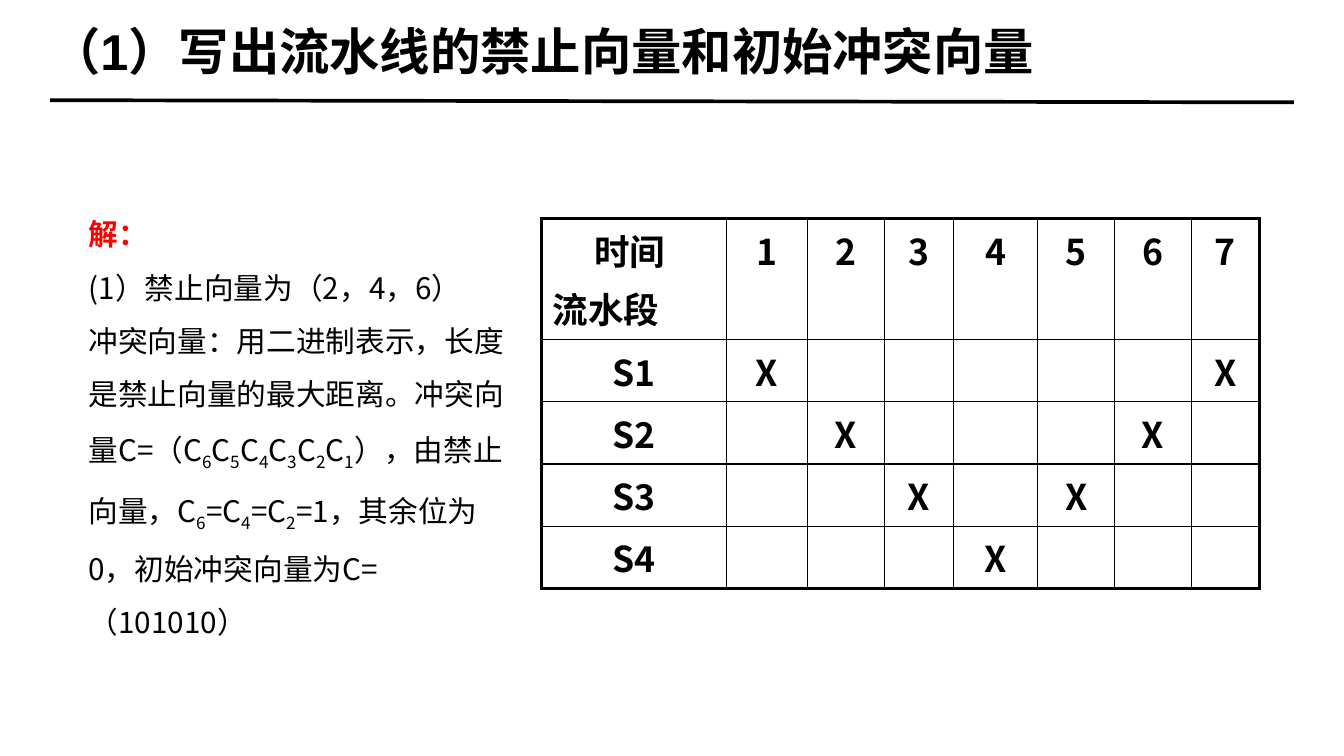
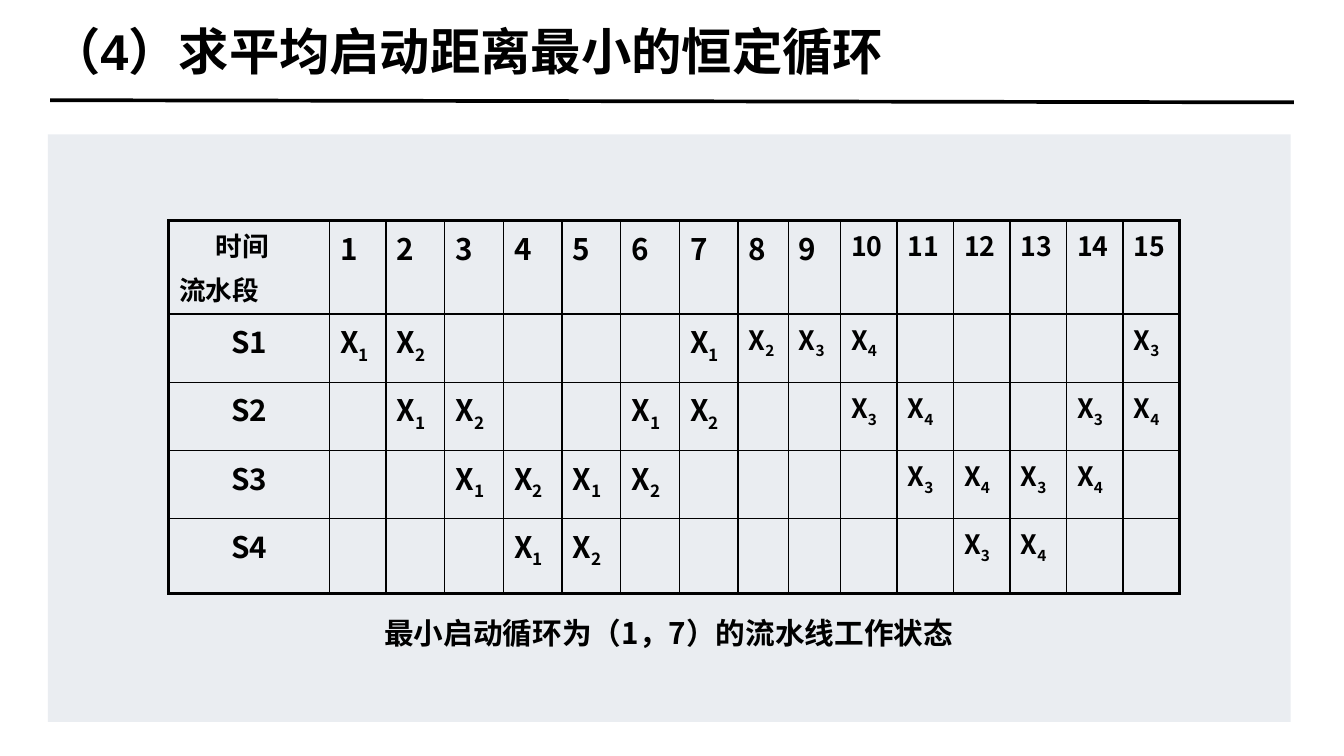
from pptx import Presentation
from pptx.dml.color import RGBColor
from pptx.enum.shapes import MSO_CONNECTOR, MSO_SHAPE
from pptx.enum.text import MSO_ANCHOR, MSO_AUTO_SIZE, PP_ALIGN
from pptx.oxml.ns import qn
from pptx.util import Pt
from lxml.etree import SubElement

PX = 9144  # EMU per px, 100 px to the inch
BLACK = RGBColor(0x00, 0x00, 0x00)
RED = RGBColor(0xFF, 0x00, 0x00)
PANEL_GREY = RGBColor(0xD6, 0xDC, 0xE5)
CJK_FONT = "Noto Sans CJK SC"
TITLE_FONT = "Arial"
OUTER_BORDER, INNER_BORDER = 2.25, 1
STAGES = ["S1", "S2", "S3", "S4"]


def px(*lengths):
    return [length * PX for length in lengths]


# Text
def format_run(run, size, bold, color=BLACK, font=CJK_FONT):
    run.font.size = Pt(size)
    run.font.bold = bold
    run.font.name = font
    run.font.color.rgb = color
    latin = run.font._element.find(qn("a:latin"))
    east_asian = latin.makeelement(qn("a:ea"), {"typeface": CJK_FONT})
    latin.addnext(east_asian)


def write(paragraph, text, size, bold, color=BLACK):
    """Fill a paragraph; the character after each "_" becomes a subscript."""
    plain, *marked = text.split("_")
    pieces = [(plain, False)]
    for part in marked:
        pieces += [(part[0], True), (part[1:], False)]
    for piece, is_subscript in pieces:
        if piece:
            run = paragraph.add_run()
            run.text = piece
            format_run(run, size, bold, color)
            if is_subscript:
                run.font._element.set("baseline", "-25000")


def add_title(slide, text):
    title = slide.shapes.title
    title.left, title.top, title.width, title.height = px(47, 16, 1165, 63)
    frame = title.text_frame
    frame.text = text
    frame.auto_size = MSO_AUTO_SIZE.NONE
    frame.vertical_anchor = MSO_ANCHOR.MIDDLE
    frame.margin_left = frame.margin_right = 0
    frame.margin_top = frame.margin_bottom = 0
    paragraph = frame.paragraphs[0]
    paragraph.alignment = PP_ALIGN.LEFT
    format_run(paragraph.runs[0], 34, True, font=TITLE_FONT)


def add_solution(slide, heading, lines):
    solution = slide.placeholders[1]
    solution.left, solution.top, solution.width, solution.height = px(73, 181, 416, 271)
    frame = solution.text_frame
    frame.auto_size = MSO_AUTO_SIZE.NONE
    for index, text in enumerate([heading, *lines]):
        paragraph = frame.add_paragraph() if index else frame.paragraphs[0]
        properties = paragraph._p.get_or_add_pPr()
        properties.set("marL", "0")
        properties.set("indent", "0")
        SubElement(properties, qn("a:buNone"))
        paragraph.space_before = Pt(0)
        paragraph.line_spacing = 1.5
        is_heading = index == 0
        write(paragraph, text, 20, is_heading, RED if is_heading else BLACK)


def add_caption(slide, text):
    caption = slide.shapes.add_textbox(*px(264, 577, 726, 44))
    frame = caption.text_frame
    frame.word_wrap = True
    frame.margin_top = 0
    paragraph = frame.paragraphs[0]
    paragraph.alignment = PP_ALIGN.CENTER
    write(paragraph, text, 20, True)


# Shared rule and panel
def add_master_rule(presentation, slide):
    rule = slide.shapes.add_connector(MSO_CONNECTOR.STRAIGHT, *px(47, 94, 1213, 96))
    rule.line.color.rgb = BLACK
    rule.line.width = Pt(2.5)
    SubElement(rule.element.spPr, qn("a:effectLst"))
    rule.element.nvCxnSpPr.cNvPr.id = 20
    presentation.slide_master.shapes.element.append(rule.element)


def add_panel(slide):
    panel = slide.shapes.add_shape(MSO_SHAPE.RECTANGLE, *px(45, 126, 1165, 551))
    panel.shadow.inherit = False
    panel.line.fill.background()
    panel.fill.solid()
    panel.fill.fore_color.rgb = PANEL_GREY
    color = panel.element.spPr.find(qn("a:solidFill"))[0]
    SubElement(color, qn("a:alpha"), val="50000")


# Reservation tables
def set_borders(cell, widths):
    properties = cell._tc.get_or_add_tcPr()
    for side, width in zip("LRTB", widths):
        border = SubElement(properties, qn(f"a:ln{side}"), w=str(Pt(width)))
        fill = SubElement(border, qn("a:solidFill"))
        SubElement(fill, qn("a:srgbClr"), val=str(BLACK))


def add_grid(slide, left, top, widths, heights):
    frame = slide.shapes.add_table(len(heights), len(widths),
                                   *px(left, top, sum(widths), sum(heights)))
    table = frame.table
    table.first_row = table.horz_banding = False
    for column, width in zip(table.columns, widths):
        column.width = width * PX
    for row, height in zip(table.rows, heights):
        row.height = height * PX
    last_row, last_column = len(heights) - 1, len(widths) - 1
    for r in range(len(heights)):
        for c in range(len(widths)):
            cell = table.cell(r, c)
            at_edges = (c == 0, c == last_column, r == 0, r == last_row)
            set_borders(cell, [OUTER_BORDER if edge else INNER_BORDER for edge in at_edges])
            cell.fill.background()
    return table


def write_corner(cell, size, indent):
    time_axis = cell.text_frame.paragraphs[0]
    time_axis._p.get_or_add_pPr().set("marL", str(indent * PX))
    write(time_axis, "时间", size, True)
    stage_axis = cell.text_frame.add_paragraph()
    stage_axis.space_before = Pt(size * 0.2)
    write(stage_axis, "流水段", size, True)


def write_cell(cell, text, size, alignment):
    paragraph = cell.text_frame.paragraphs[0]
    paragraph.alignment = alignment
    write(paragraph, text, size, True)


def fill_reservations(table, reservations, time_size, mark_size, stage_size, alignment):
    """Write times, stages and marks; reservations maps time to mark per stage."""
    for time in range(1, len(table.columns)):
        write_cell(table.cell(0, time), str(time), time_size(time), alignment)
    for row, (stage, marks) in enumerate(zip(STAGES, reservations), start=1):
        write_cell(table.cell(row, 0), stage, stage_size, PP_ALIGN.CENTER)
        for time, mark in marks.items():
            write_cell(table.cell(row, time), mark, mark_size(time), alignment)


def build_collision_slide(slide):
    add_title(slide, "（1）写出流水线的禁止向量和初始冲突向量")
    add_solution(slide, "解：", [
        "(1）禁止向量为（2，4，6）",
        "冲突向量：用二进制表示，长度是禁止向量的最大距离。冲突向量"
        "C=（C_6C_5C_4C_3C_2C_1），由禁止向量，C_6=C_4=C_2=1，"
        "其余位为0，初始冲突向量为C=（101010）",
    ])
    table = add_grid(slide, 508, 205, [173, 76, 72, 65, 79, 72, 72, 64], [98] + [50] * 4)
    write_corner(table.cell(0, 0), 24, 39)
    used_times = [(1, 7), (2, 6), (3, 5), (4,)]
    reservations = [dict.fromkeys(times, "X") for times in used_times]
    fill_reservations(table, reservations, lambda time: 24, lambda time: 24,
                      24, PP_ALIGN.CENTER)


def build_cycle_slide(slide):
    add_title(slide, "（4）求平均启动距离最小的恒定循环")
    add_panel(slide)
    table = add_grid(slide, 158, 207, [151, 53] + [55] * 6 + [47, 49] + [53] * 6,
                     [82, 64, 64, 64, 70])
    write_corner(table.cell(0, 0), 18, 34)
    reservations = [
        {1: "X_1", 2: "X_2", 7: "X_1", 8: "X_2", 9: "X_3", 10: "X_4", 15: "X_3"},
        {2: "X_1", 3: "X_2", 6: "X_1", 7: "X_2", 10: "X_3", 11: "X_4", 14: "X_3", 15: "X_4"},
        {3: "X_1", 4: "X_2", 5: "X_1", 6: "X_2", 11: "X_3", 12: "X_4", 13: "X_3", 14: "X_4"},
        {4: "X_1", 5: "X_2", 12: "X_3", 13: "X_4"},
    ]
    fill_reservations(table, reservations,
                      lambda time: 20 if time < 10 else 18,
                      lambda time: 20 if time < 8 else 18,
                      20, PP_ALIGN.LEFT)
    add_caption(slide, "最小启动循环为（1，7）的流水线工作状态")


def main():
    presentation = Presentation()
    presentation.slide_width, presentation.slide_height = px(1260, 709)
    layouts = presentation.slide_layouts
    collision_slide = presentation.slides.add_slide(layouts.get_by_name("Title and Content"))
    add_master_rule(presentation, collision_slide)
    build_collision_slide(collision_slide)
    build_cycle_slide(presentation.slides.add_slide(layouts.get_by_name("Title Only")))
    presentation.save("out.pptx")


if __name__ == "__main__":
    main()
